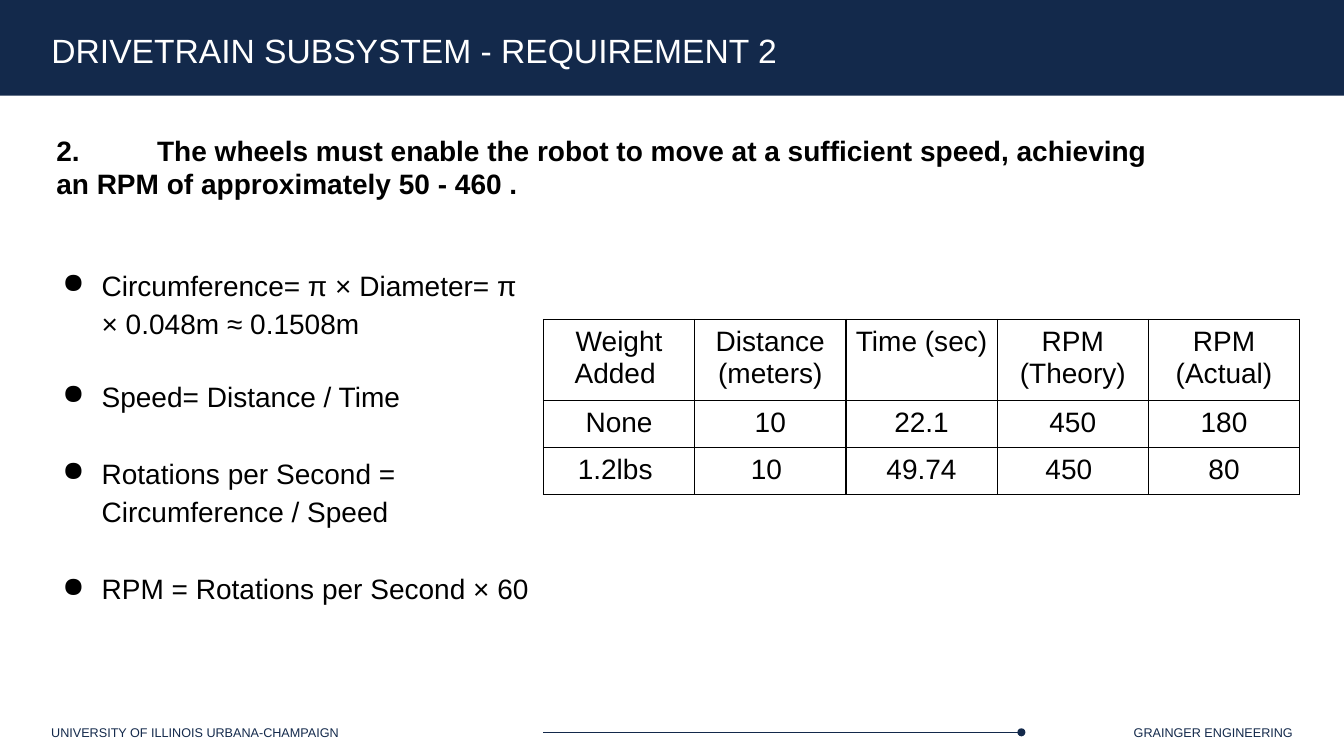
from lxml.etree import SubElement
from pptx import Presentation
from pptx.dml.color import RGBColor
from pptx.enum.shapes import MSO_CONNECTOR, MSO_SHAPE
from pptx.enum.text import MSO_ANCHOR, MSO_AUTO_SIZE, PP_ALIGN
from pptx.oxml.ns import qn
from pptx.util import Inches, Pt

WIDTH, HEIGHT = 13.33, 7.5
MARGIN = 0.41
RULE_LEFT = 5.39
NAVY, BLACK, WHITE = "13294B", "000000", "FFFFFF"
FONT = "Arial"

TITLE = "DRIVETRAIN SUBSYSTEM - REQUIREMENT 2"
REQUIREMENT = ("2. \tThe wheels must enable the robot to move at a sufficient speed, "
               "achieving an RPM of approximately 50 - 460 .")
# Formula and the space after it in points
FORMULAS = [
    ("Circumference= π × Diameter= π × 0.048m ≈ 0.1508m", 24),
    ("Speed= Distance / Time", 27.5),
    ("Rotations per Second = Circumference / Speed", 27.5),
    ("RPM = Rotations per Second × 60", 0),
]
RESULTS = [
    ["Weight Added ", "Distance (meters)", "Time (sec)", "RPM (Theory)", "RPM (Actual)"],
    ["None", "10", "22.1", "450", "180"],
    ["1.2lbs ", "10 ", "49.74", "450 ", "80"],
]
ROW_HEIGHTS = [0.8, 0.47, 0.47]
COLUMN_WIDTH = 1.5


def color(value):
    return RGBColor.from_string(value)


def inches(box):
    return [Inches(length) for length in box]


def write(paragraph, text, size=20, fill=BLACK, bold=False, align=PP_ALIGN.LEFT):
    paragraph.text = text
    paragraph.alignment = align
    font = paragraph.font
    font.name, font.size, font.bold = FONT, Pt(size), bold
    font.color.rgb = color(fill)


def prepare_frame(frame, inset=0.1, anchor=MSO_ANCHOR.TOP):
    frame.word_wrap = True
    frame.auto_size = MSO_AUTO_SIZE.NONE
    frame.vertical_anchor = anchor
    frame.margin_left = frame.margin_right = Inches(0.1)
    frame.margin_top = frame.margin_bottom = Inches(inset)
    return frame


def add_text_frame(slide, box, inset=0.1):
    return prepare_frame(slide.shapes.add_textbox(*inches(box)).text_frame, inset)


def add_filled_shape(slide, kind, box):
    shape = slide.shapes.add_shape(kind, *inches(box))
    shape.shadow.inherit = False
    shape.fill.solid()
    shape.fill.fore_color.rgb = color(NAVY)
    shape.line.fill.background()
    return shape


def add_header(slide, box):
    left, top, width, height = box
    band = add_filled_shape(slide, MSO_SHAPE.RECTANGLE, box)
    title = slide.shapes.title
    # The title sits in front of the band
    band._element.addnext(title._element)
    title.left, title.top, title.width, title.height = inches(
        (left + MARGIN, top + 0.25, width - 1.4, 0.5))
    frame = prepare_frame(title.text_frame, 0.05, MSO_ANCHOR.MIDDLE)
    write(frame.paragraphs[0], TITLE, size=24, fill=WHITE)


def add_footer(slide, box):
    left, top, width, height = box
    labels = [("UNIVERSITY OF ILLINOIS URBANA-CHAMPAIGN", PP_ALIGN.LEFT),
              ("GRAINGER ENGINEERING", PP_ALIGN.RIGHT)]
    label_width = 4
    for index, (text, align) in enumerate(labels):
        label_left = left + index * (width - label_width)
        frame = add_text_frame(slide, (label_left, top, label_width, height), 0.05)
        write(frame.paragraphs[0], text, size=9, fill=NAVY, align=align)

    # Rule ending in a dot
    middle, rule_right, dot = top + height / 2, 10.13, 0.08
    rule = slide.shapes.add_connector(
        MSO_CONNECTOR.STRAIGHT, *inches((RULE_LEFT, middle, rule_right, middle)))
    rule.line.color.rgb = color(NAVY)
    rule.line.width = Pt(0.75)
    SubElement(rule._element.spPr, qn("a:effectLst"))
    add_filled_shape(slide, MSO_SHAPE.OVAL,
                     (rule_right - dot / 2, middle - dot / 2, dot, dot))


def add_requirement(slide, box):
    paragraph = add_text_frame(slide, box).paragraphs[0]
    tabs = SubElement(paragraph._p.get_or_add_pPr(), qn("a:tabLst"))
    SubElement(tabs, qn("a:tab"), pos=str(Inches(1)), algn="l")
    write(paragraph, REQUIREMENT, bold=True)


def add_formulas(slide, box):
    frame = add_text_frame(slide, box)
    for index, (text, gap) in enumerate(FORMULAS):
        paragraph = frame.add_paragraph() if index else frame.paragraphs[0]
        properties = paragraph._p.get_or_add_pPr()
        properties.set("marL", str(Inches(0.5)))
        properties.set("indent", str(Inches(-0.39)))
        SubElement(properties, qn("a:buChar"), char="●")
        write(paragraph, text)
        paragraph.line_spacing = 1.15
        paragraph.space_after = Pt(gap)


def add_borders(cell):
    properties = cell._tc.get_or_add_tcPr()
    for position, side in enumerate(("lnL", "lnR", "lnT", "lnB")):
        line = SubElement(properties, qn(f"a:{side}"), w=str(Pt(1)))
        fill = SubElement(line, qn("a:solidFill"))
        SubElement(fill, qn("a:srgbClr"), val=BLACK)
        # Borders come before the cell fill
        properties.insert(position, line)


def add_results(slide, left, top):
    columns = len(RESULTS[0])
    box = (left, top, columns * COLUMN_WIDTH, sum(ROW_HEIGHTS))
    table = slide.shapes.add_table(len(RESULTS), columns, *inches(box)).table
    table.first_row = table.horz_banding = False
    for column in table.columns:
        column.width = Inches(COLUMN_WIDTH)
    for row, height, values in zip(table.rows, ROW_HEIGHTS, RESULTS):
        row.height = Inches(height)
        for cell, value in zip(row.cells, values):
            cell.margin_left = cell.margin_right = Inches(0.07)
            cell.margin_top = cell.margin_bottom = Inches(0.07)
            cell.fill.background()
            add_borders(cell)
            write(cell.text_frame.paragraphs[0], value, align=PP_ALIGN.CENTER)


def main():
    presentation = Presentation()
    presentation.slide_width, presentation.slide_height = inches((WIDTH, HEIGHT))
    slide = presentation.slides.add_slide(presentation.slide_layouts[5])
    add_header(slide, (0, 0, WIDTH, 0.95))
    add_footer(slide, (MARGIN, 7.14, WIDTH - 2 * MARGIN, 0.25))
    add_results(slide, RULE_LEFT, 3.17)
    add_formulas(slide, (MARGIN, 2.51, 4.96, 4.6))
    add_requirement(slide, (0.46, 1.22, 11.39, 0.8))
    presentation.save("out.pptx")


if __name__ == "__main__":
    main()
